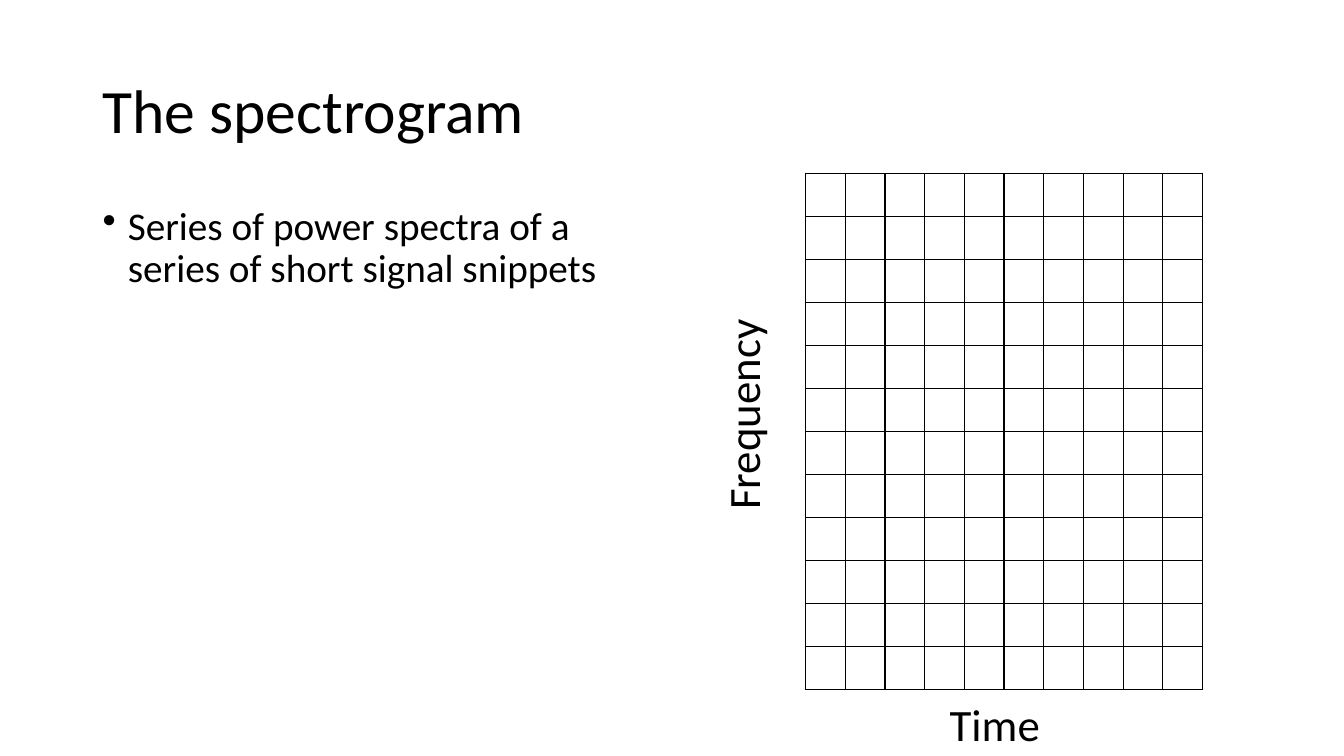
from lxml import etree
from pptx import Presentation
from pptx import util as u
from pptx.dml.color import RGBColor
from pptx.enum import text
from pptx.oxml import ns

BLACK = RGBColor(0, 0, 0)
WHITE = RGBColor(255, 255, 255)
FONT = "Calibri"
STEPS, BANDS = 10, 12


def sub(parent, tag, **attrs):
    return etree.SubElement(parent, ns.qn(tag), attrs)


class Deck:
    def __init__(self):
        self.prs = Presentation()
        self.prs.slide_width = u.Inches(13.33)
        self.prs.slide_height = u.Inches(7.5)
        self.slide = self.prs.slides.add_slide(self.prs.slide_layouts[6])
        fill = self.slide.background.fill
        fill.solid()
        fill.fore_color.rgb = WHITE

    def textbox(self, words, box, size, wrap=True,
                anchor=text.MSO_ANCHOR.TOP):
        """Add a one-paragraph text box; return the shape and paragraph."""
        shape = self.slide.shapes.add_textbox(*map(u.Inches, box))
        frame = shape.text_frame
        frame.word_wrap = wrap
        frame.vertical_anchor = anchor
        para = frame.paragraphs[0]
        para.text = words
        para.font.name = FONT
        para.font.size = u.Pt(size)
        para.font.color.rgb = BLACK
        return shape, para

    def title(self, words, box):
        para = self.textbox(words, box, 44, anchor=text.MSO_ANCHOR.MIDDLE)[1]
        para.line_spacing = 0.9

    def bullet(self, words, box):
        para = self.textbox(words, box, 28)[1]
        para.line_spacing = 0.9
        para.space_before = u.Pt(10)
        props = para._p.get_or_add_pPr()
        indent = u.Inches(0.25)
        props.set("marL", str(indent))
        props.set("indent", str(-indent))
        mark = etree.Element(ns.qn("a:buChar"), char="•")
        props.find(ns.qn("a:defRPr")).addprevious(mark)

    def label(self, words, box, turn=0):
        shape = self.textbox(words, box, 32, wrap=False)[0]
        shape.text_frame.auto_size = text.MSO_AUTO_SIZE.SHAPE_TO_FIT_TEXT
        shape.rotation = turn

    def grid(self, rows, cols, box):
        """Add an empty table with thin ruled cells of equal size."""
        left, top, width, height = map(u.Inches, box)
        table = self.slide.shapes.add_table(
            rows, cols, left, top, width, height).table
        table.first_row = table.horz_banding = False
        for cell in table.iter_cells():
            props = cell._tc.get_or_add_tcPr()
            for side in ("a:lnL", "a:lnR", "a:lnT", "a:lnB"):
                line = sub(props, side, w=str(u.Pt(1)))
                sub(sub(line, "a:solidFill"), "a:srgbClr", val=str(BLACK))
            cell.fill.background()

    def save(self):
        self.prs.save("out.pptx")


def main():
    deck = Deck()
    deck.title("The spectrogram", (0.92, 0.4, 11.5, 1.45))
    deck.bullet("Series of power spectra of a series of short signal snippets",
                (0.92, 2, 5.53, 4.76))
    deck.grid(BANDS, STEPS, (7.99, 1.72, 3.94, 5.12))
    deck.label("Time", (9.32, 6.86, 1.21, 0.64))
    deck.label("Frequency", (6.31, 3.78, 2.11, 0.64), turn=270)
    deck.save()


if __name__ == "__main__":
    main()
